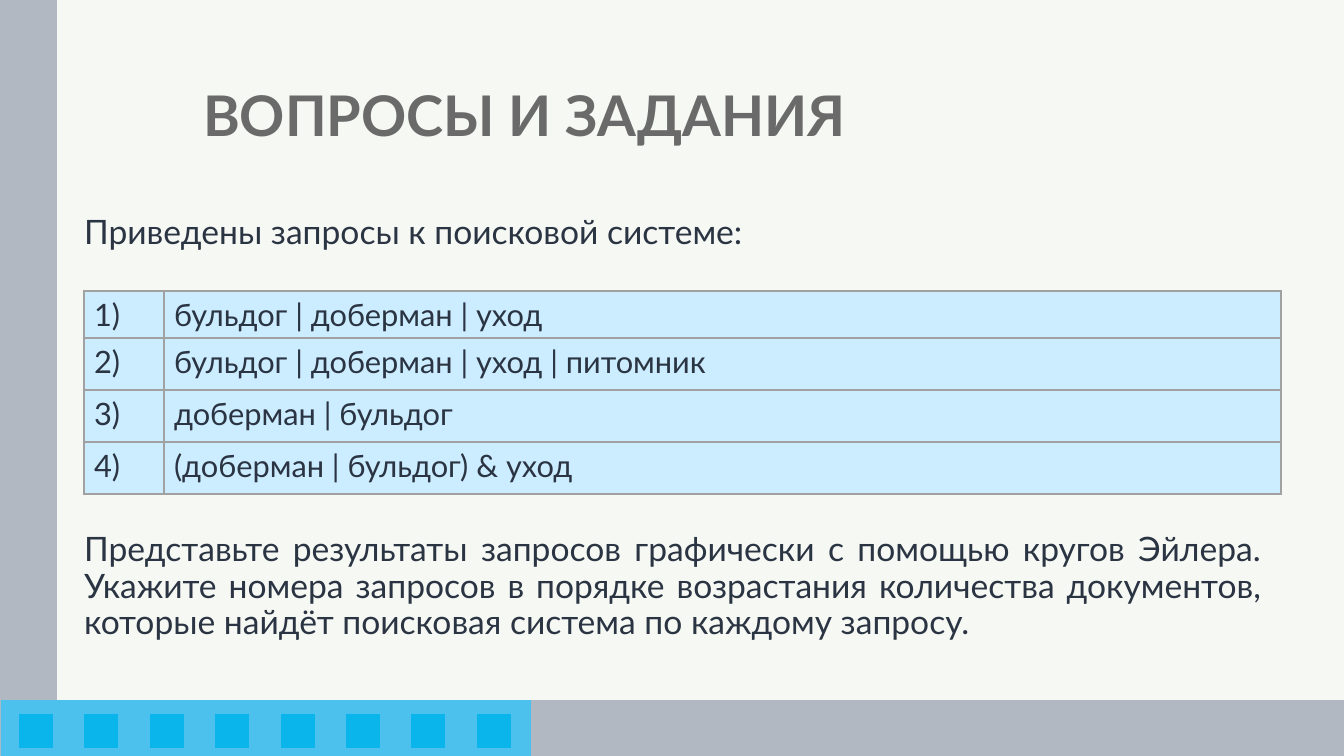
from lxml.etree import SubElement
from pptx import Presentation
from pptx.dml.color import RGBColor
from pptx.enum.shapes import MSO_SHAPE
from pptx.enum.text import MSO_ANCHOR, MSO_AUTO_SIZE, PP_ALIGN
from pptx.oxml.ns import qn
from pptx.util import Pt

PX = 914400 / 100.8
GREY, CYAN, SQUARE_BLUE = "B2B8C2", "4DC1ED", "0AB5EC"
CELL_BLUE, BORDER_GREY = "CCECFF", "A1A1A1"
INK, TITLE_GREY = "2A3442", "6A6A6A"


def emu(*lengths):
    return [round(length * PX) for length in lengths]


def paint(color_owner, color):
    """Give a fill or a font a solid colour."""
    if hasattr(color_owner, "solid"):
        color_owner.solid()
        color_owner.fore_color.rgb = RGBColor.from_string(color)
    else:
        color_owner.color.rgb = RGBColor.from_string(color)


deck = Presentation()
deck.slide_width, deck.slide_height = emu(1344, 756)
slide = deck.slides.add_slide(deck.slide_layouts[1])
paint(slide.background.fill, "F6F8F3")

# Side bar, bottom bar and the row of squares
bars = [
    (0, 0, 57, 756, GREY),
    (0, 700, 1344, 56, GREY),
    (1, 700, 530, 56, CYAN),
]
squares = [(19 + round(65.4 * i), 714, 34, 34, SQUARE_BLUE) for i in range(8)]
for *box, color in bars + squares:
    block = slide.shapes.add_shape(MSO_SHAPE.RECTANGLE, *emu(*box))
    block.shadow.inherit = False
    paint(block.fill, color)
    block.line.fill.background()

# Title
title = slide.shapes.title
title.left, title.top, title.width, title.height = emu(193, 45, 1079, 146)
title.text_frame.text = "ВОПРОСЫ И ЗАДАНИЯ"
title.text_frame.vertical_anchor = MSO_ANCHOR.MIDDLE
heading = title.text_frame.paragraphs[0]
heading.alignment = PP_ALIGN.LEFT
heading.line_spacing = 0.9
heading.font.name, heading.font.size, heading.font.bold = "Lato", Pt(40), True
paint(heading.font, TITLE_GREY)

# Task text, with room for the table between its two paragraphs
task = slide.placeholders[1]
task.left, task.top, task.width, task.height = emu(74, 210, 1197, 501)
task.text_frame.text = (
    "Приведены запросы к поисковой системе:\n"
    "Представьте результаты запросов графически с помощью кругов Эйлера. "
    "Укажите номера запросов в порядке возрастания количества документов, "
    "которые найдёт поисковая система по каждому запросу."
)
task.text_frame.auto_size = MSO_AUTO_SIZE.NONE
for paragraph, gap in zip(task.text_frame.paragraphs, (0, 201)):
    paragraph.alignment = PP_ALIGN.JUSTIFY
    paragraph.line_spacing = 0.9
    paragraph.space_before = Pt(gap)
    properties = paragraph._p.get_or_add_pPr()
    properties.set("marL", "0")
    properties.set("indent", "0")
    SubElement(properties, qn("a:buNone"))
    paragraph.font.name, paragraph.font.size = "Lato", Pt(24)
    paint(paragraph.font, INK)

# Table of queries
queries = [
    "бульдог | доберман | уход",
    "бульдог | доберман | уход | питомник",
    "доберман | бульдог",
    "(доберман | бульдог) & уход",
]
last = len(queries) - 1
table = slide.shapes.add_table(len(queries), 2, *emu(84, 291, 1197, 204)).table
table.first_row = table.horz_banding = False
for column, width in zip(table.columns, emu(80, 1117)):
    column.width = width
for row, height in zip(table.rows, emu(47, 52, 52, 52)):
    row.height = height

for i, query in enumerate(queries):
    for j, entry in enumerate((f"{i + 1})", query)):
        cell = table.cell(i, j)
        cell.text_frame.text = entry
        font = cell.text_frame.paragraphs[0].font
        font.name, font.size = "Lato", Pt(22)
        paint(font, INK)
        cell_properties = cell._tc.get_or_add_tcPr()
        outer_sides = {"lnL": j == 0, "lnR": j == 1, "lnT": i == 0, "lnB": i == last}
        for side, is_outer in outer_sides.items():
            border_width = Pt(2.25 if is_outer else 1)
            border = SubElement(cell_properties, qn(f"a:{side}"), w=str(border_width))
            border_fill = SubElement(border, qn("a:solidFill"))
            SubElement(border_fill, qn("a:srgbClr"), val=BORDER_GREY)
        paint(cell.fill, CELL_BLUE)

deck.save("out.pptx")
